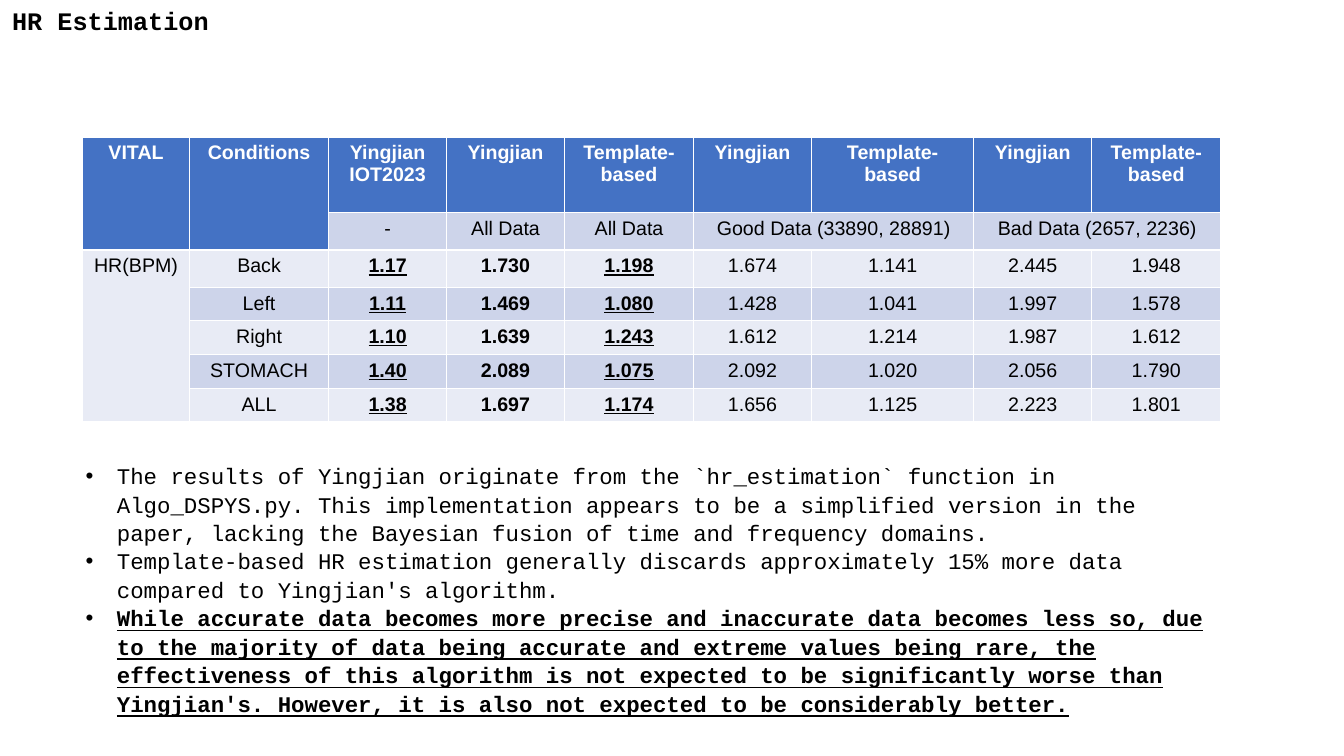
"""Build the HR estimation results slide."""
from dataclasses import dataclass

from pptx import Presentation
from pptx.dml.color import RGBColor
from pptx.enum.text import MSO_ANCHOR, MSO_AUTO_SIZE, PP_ALIGN
from pptx.util import Inches, Pt

CENTER, LEFT = PP_ALIGN.CENTER, PP_ALIGN.LEFT
TOP = MSO_ANCHOR.TOP
GROW = MSO_AUTO_SIZE.SHAPE_TO_FIT_TEXT
WHITE = RGBColor(0xFF, 0xFF, 0xFF)
BLACK = RGBColor(0, 0, 0)
BLUE = RGBColor(0x44, 0x72, 0xC4)
DARK = RGBColor(0xCD, 0xD4, 0xEA)
PALE = RGBColor(0xE8, 0xEB, 0xF5)
MONO, SANS = "Courier New", "Arial"


@dataclass
class Style:
    """Look of a paragraph."""
    font: str
    size: int
    color: RGBColor = BLACK
    bold: bool = False
    under: bool = False
    align: PP_ALIGN = CENTER


@dataclass
class Box:
    """Place of an object in inches."""
    left: float
    top: float
    width: float
    height: float


@dataclass
class Span:
    """Merged cells from first to last."""
    first: tuple[int, int]
    last: tuple[int, int]


WIDTHS = [1.06, 1.38, 1.17, 1.17, 1.28, 1.17, 1.61, 1.17, 1.28]
HEIGHTS = [0.75, 0.37, 0.37] + [0.32] * 4
GRID = Box(0.82, 1.36, sum(WIDTHS), sum(HEIGHTS))
SPANS = [
    Span((0, 0), (1, 0)), Span((0, 1), (1, 1)), Span((1, 5), (1, 6)),
    Span((1, 7), (1, 8)), Span((2, 0), (6, 0)),
]
ROWS = [
    ["VITAL", "Conditions", "Yingjian\nIOT2023", "Yingjian", "Template-\nbased",
     "Yingjian", "Template-\nbased", "Yingjian", "Template-based"],
    ["", "", "-", "All Data", "All Data", "Good Data (33890, 28891)", "",
     "Bad Data (2657, 2236)", ""],
    ["HR(BPM)", "Back", "1.17", "1.730", "1.198", "1.674", "1.141", "2.445", "1.948"],
    ["", "Left", "1.11", "1.469", "1.080", "1.428", "1.041", "1.997", "1.578"],
    ["", "Right", "1.10", "1.639", "1.243", "1.612", "1.214", "1.987", "1.612"],
    ["", "STOMACH", "1.40", "2.089", "1.075", "2.092", "1.020", "2.056", "1.790"],
    ["", "ALL", "1.38", "1.697", "1.174", "1.656", "1.125", "2.223", "1.801"],
]
NOTES = [
    "The results of Yingjian originate from the `hr_estimation` function in "
    "Algo_DSPYS.py. This implementation appears to be a simplified version in the "
    "paper, lacking the Bayesian fusion of time and frequency domains.",
    "Template-based HR estimation generally discards approximately 15% more data "
    "compared to Yingjian's algorithm.",
    "While accurate data becomes more precise and inaccurate data becomes less so, "
    "due to the majority of data being accurate and extreme values being rare, the "
    "effectiveness of this algorithm is not expected to be significantly worse than "
    "Yingjian's. However, it is also not expected to be considerably better.",
]


def dress(para, style: Style) -> None:
    """Apply a style to one paragraph."""
    font = para.font
    font.name, font.size = style.font, Pt(style.size)
    font.bold, font.underline = style.bold, style.under
    font.color.rgb = style.color
    para.alignment = style.align


def place(shape, box: Box, text: str, wrap: bool):
    """Move a placeholder, fill it and return its frame."""
    shape.left, shape.top = Inches(box.left), Inches(box.top)
    shape.width, shape.height = Inches(box.width), Inches(box.height)
    frame = shape.text_frame
    frame.text = text
    frame.word_wrap, frame.auto_size = wrap, GROW
    frame.vertical_anchor = TOP
    return frame


def add_title(slide) -> None:
    """Write the slide title."""
    frame = place(slide.shapes.title, Box(0, 0, 2.19, 0.4), "HR Estimation", False)
    dress(frame.paragraphs[0], Style(MONO, 18, bold=True))


def add_notes(slide) -> None:
    """Write the bulleted remarks, the last one stressed."""
    box = Box(0.75, 4.52, 11.37, 2.52)
    frame = place(slide.placeholders[1], box, "\n".join(NOTES), True)
    for num, para in enumerate(frame.paragraphs, 1):
        stress = num == len(NOTES)
        dress(para, Style(MONO, 16, bold=stress, under=stress, align=LEFT))
        para.space_before, para.line_spacing = Pt(0), 1.06
        props = para._p.get_or_add_pPr()
        props.set("marL", str(Inches(0.31)))
        props.set("indent", str(Inches(-0.31)))


def pick(row: int, col: int) -> tuple[RGBColor, Style]:
    """Choose the fill and text style of a cell."""
    if row == 0 or (row == 1 and col < 2):
        return BLUE, Style(SANS, 14, WHITE, bold=True)
    fill = DARK if row % 2 and col else PALE
    data = row > 1
    style = Style(SANS, 14, bold=data and col in (2, 3, 4), under=data and col in (2, 4))
    return fill, style


def add_grid(slide) -> None:
    """Draw the table of results."""
    table = slide.shapes.add_table(
        len(ROWS), len(WIDTHS), Inches(GRID.left), Inches(GRID.top),
        Inches(GRID.width), Inches(GRID.height)).table
    for column, width in zip(table.columns, WIDTHS):
        column.width = Inches(width)
    for line, height in zip(table.rows, HEIGHTS):
        line.height = Inches(height)
    for row, texts in enumerate(ROWS):
        for col, text in enumerate(texts):
            cell = table.cell(row, col)
            fill, style = pick(row, col)
            cell.fill.solid()
            cell.fill.fore_color.rgb = fill
            cell.text = text
            for para in cell.text_frame.paragraphs:
                dress(para, style)
    for span in SPANS:
        table.cell(*span.first).merge(table.cell(*span.last))


def main() -> None:
    """Build and save the deck."""
    deck = Presentation()
    deck.slide_width, deck.slide_height = Inches(13.33), Inches(7.5)
    slide = deck.slides.add_slide(deck.slide_layouts[1])
    add_grid(slide)
    add_title(slide)
    add_notes(slide)
    deck.save("out.pptx")


if __name__ == "__main__":
    main()
